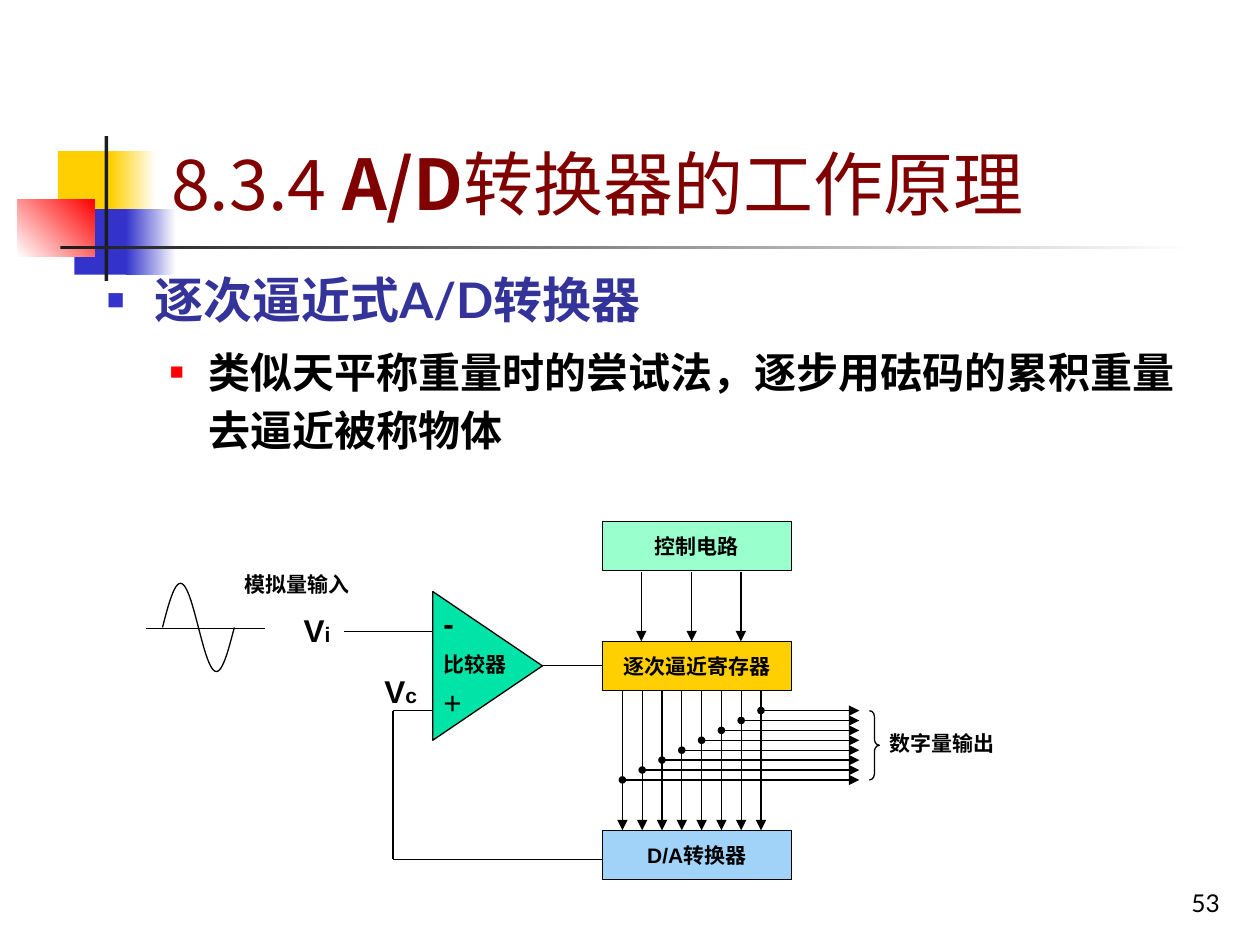
from math import pi, sin
from lxml.etree import SubElement
from pptx import Presentation
from pptx.dml.color import RGBColor
from pptx.enum.shapes import MSO_CONNECTOR, MSO_SHAPE
from pptx.enum.text import MSO_ANCHOR, PP_ALIGN
from pptx.oxml.ns import qn
from pptx.util import Inches, Pt

rgb = RGBColor.from_string
BLACK, CJK = "000000", "Noto Sans CJK SC"

prs = Presentation()
prs.slide_width, prs.slide_height = Inches(10), Inches(7.5)
s = prs.slides.add_slide(prs.slide_layouts[6])


def write(p, runs, font, color):
    for text, size, bold in runs:
        r = p.add_run()
        r.text = text
        r.font.size = Pt(size)
        r.font.bold = bold
        r.font.name = font
        r.font.color.rgb = rgb(color)
        SubElement(r._r.get_or_add_rPr(), qn("a:ea"), typeface=CJK)


def line(x1, y1, x2, y2, arrow=False):
    c = s.shapes.add_connector(MSO_CONNECTOR.STRAIGHT, Inches(x1), Inches(y1), Inches(x2), Inches(y2))
    c.line.color.rgb = rgb(BLACK)
    c.line.width = Pt(0.75)
    if arrow:
        SubElement(c.line._get_or_add_ln(), qn("a:tailEnd"), type="triangle")
    SubElement(c._element.spPr, qn("a:effectLst"))


for x, y, w, h, colors, angle in [
    (0.46, 1.2, 0.48, 0.52, ["FFCF01"], 0),
    (0.88, 1.2, 0.36, 0.52, ["FFCF01", "FFFFFF"], 0),
    (0.59, 1.66, 0.46, 0.52, ["3333CC"], 0),
    (1, 1.66, 0.4, 0.52, ["3333CC", "FFFFFF"], 0),
    (0.14, 1.58, 0.61, 0.46, ["FFFFFF", "FF0000"], 45),
    (0.83, 1.08, 0.03, 1.15, ["1C1C1C"], 0),
    (0.48, 1.95, 9, 0.03, ["1C1C1C", "FFFFFF"], 0),
]:
    sp = s.shapes.add_shape(MSO_SHAPE.RECTANGLE, Inches(x), Inches(y), Inches(w), Inches(h))
    sp.shadow.inherit = False
    sp.line.fill.background()
    if len(colors) == 1:
        sp.fill.solid()
        sp.fill.fore_color.rgb = rgb(colors[0])
    else:
        sp.fill.gradient()
        sp.fill.gradient_angle = angle
        for stop, color in zip(sp.fill.gradient_stops, colors):
            stop.color.rgb = rgb(color)

for x, y, w, h, runs, font, color, align in [
    (7.7, 6.83, 2.08, 0.5, [("53", 14, False)], "Lato", BLACK, PP_ALIGN.RIGHT),
    (1.26, 0.23, 7.36, 1.6, [("8.3.4 ", 40, False), ("A/D", 40, True), ("转换器的工作原理", 40, False)],
     CJK, "800000", PP_ALIGN.LEFT),
]:
    tf = s.shapes.add_textbox(Inches(x), Inches(y), Inches(w), Inches(h)).text_frame
    tf.word_wrap = True
    tf.vertical_anchor = MSO_ANCHOR.BOTTOM
    tf.paragraphs[0].alignment = align
    write(tf.paragraphs[0], runs, font, color)

tf = s.shapes.add_textbox(Inches(0.75), Inches(2.02), Inches(8.82), Inches(1.73)).text_frame
tf.word_wrap = True
for i, (text, size, color, bullet, percent, left, hang) in enumerate([
    ("逐次逼近式A/D转换器", 28, "333399", "3333CC", 60, 0.38, 0.38),
    ("类似天平称重量时的尝试法，逐步用砝码的累积重量去逼近被称物体", 24, BLACK, "FF0000", 55, 0.81, 0.31),
]):
    p = tf.add_paragraph() if i else tf.paragraphs[0]
    p.level = i
    p.line_spacing = 1.15
    p.space_before = Pt(size * 0.2)
    p.space_after = Pt(size * 0.05)
    pPr = p._p.get_or_add_pPr()
    pPr.set("marL", str(Inches(left)))
    pPr.set("indent", str(-Inches(hang)))
    SubElement(SubElement(pPr, qn("a:buClr")), qn("a:srgbClr"), val=bullet)
    SubElement(pPr, qn("a:buSzPct"), val=str(percent * 1000))
    SubElement(pPr, qn("a:buFont"), typeface="Arial")
    SubElement(pPr, qn("a:buChar"), char="■")
    write(p, [(text, size, True)], "Lato", color)

sp = s.shapes.add_shape(MSO_SHAPE.ISOSCELES_TRIANGLE, Inches(3.28), Inches(4.85), Inches(1.18), Inches(0.87))
sp.rotation = 90
sp.shadow.inherit = False
sp.fill.solid()
sp.fill.fore_color.rgb = rgb("00E4A8")
sp.line.color.rgb = rgb(BLACK)
sp.line.width = Pt(0.75)

for y, text, color in [
    (4.14, "控制电路", "99FFCC"),
    (5.09, "逐次逼近寄存器", "FFCF01"),
    (6.59, "D/A转换器", "A1D3F9"),
]:
    sp = s.shapes.add_shape(MSO_SHAPE.RECTANGLE, Inches(4.78), Inches(y), Inches(1.5), Inches(0.39))
    sp.shadow.inherit = False
    sp.fill.solid()
    sp.fill.fore_color.rgb = rgb(color)
    sp.line.color.rgb = rgb(BLACK)
    sp.line.width = Pt(0.75)
    tf = sp.text_frame
    tf.word_wrap = False
    tf.vertical_anchor = MSO_ANCHOR.MIDDLE
    tf.margin_left = tf.margin_right = tf.margin_top = tf.margin_bottom = 0
    tf.paragraphs[0].alignment = PP_ALIGN.CENTER
    write(tf.paragraphs[0], [(text, 12, True)], "Arial", BLACK)

for x1, y1, x2, y2 in [
    (2.73, 5.01, 3.44, 5.01),
    (3.44, 5.64, 3.12, 5.64),
    (3.12, 5.64, 3.12, 6.82),
    (4.78, 6.82, 3.12, 6.82),
    (4.31, 5.28, 4.78, 5.28),
    (1.16, 4.99, 2.1, 4.99),
]:
    line(x1, y1, x2, y2)

for x in (5.09, 5.49, 5.88):
    line(x, 4.54, x, 5.09, True)

for i in range(8):
    x = 4.94 + i * 1.1 / 7
    y = 6.19 - i * 0.55 / 7
    line(x, 5.48, x, 6.59, True)
    line(x, y, 6.82, y, True)
    sp = s.shapes.add_shape(MSO_SHAPE.OVAL, Inches(x - 0.03), Inches(y - 0.03), Inches(0.06), Inches(0.06))
    sp.shadow.inherit = False
    sp.fill.solid()
    sp.fill.fore_color.rgb = rgb(BLACK)
    sp.line.fill.background()

brace = s.shapes.add_shape(MSO_SHAPE.RIGHT_BRACE, Inches(6.9), Inches(5.64), Inches(0.08), Inches(0.55))
brace.adjustments[0] = 0.59
wave = [(Inches(1.29 + 0.57 * i / 48), Inches(4.98 - 0.35 * sin(2 * pi * i / 48))) for i in range(49)]
fb = s.shapes.build_freeform(*wave[0])
fb.add_line_segments(wave[1:], close=False)
for sp in (brace, fb.convert_to_shape()):
    sp.shadow.inherit = False
    sp.fill.background()
    sp.line.color.rgb = rgb(BLACK)
    sp.line.width = Pt(0.75)

for x, y, w, h, spacing, runs in [
    (2.41, 4.85, 0.24, 0.3, 1, [("V", 18, True), ("i", 12, True)]),
    (3.05, 5.33, 0.32, 0.3, 1, [("V", 18, True), ("c", 12, True)]),
    (3.52, 4.85, 0.16, 0.24, 0.8, [("-", 18, True)]),
    (3.52, 5.48, 0.16, 0.24, 0.8, [("+", 18, False)]),
    (3.52, 5.17, 0.55, 0.2, 1, [("比较器", 12, True)]),
    (7.06, 5.8, 0.94, 0.2, 1, [("数字量输出", 12, True)]),
    (1.94, 4.54, 0.94, 0.2, 1, [("模拟量输入", 12, True)]),
]:
    tf = s.shapes.add_textbox(Inches(x), Inches(y), Inches(w), Inches(h)).text_frame
    tf.word_wrap = True
    tf.margin_left = tf.margin_right = tf.margin_top = tf.margin_bottom = 0
    tf.paragraphs[0].line_spacing = spacing
    write(tf.paragraphs[0], runs, "Arial", BLACK)

prs.save("out.pptx")
